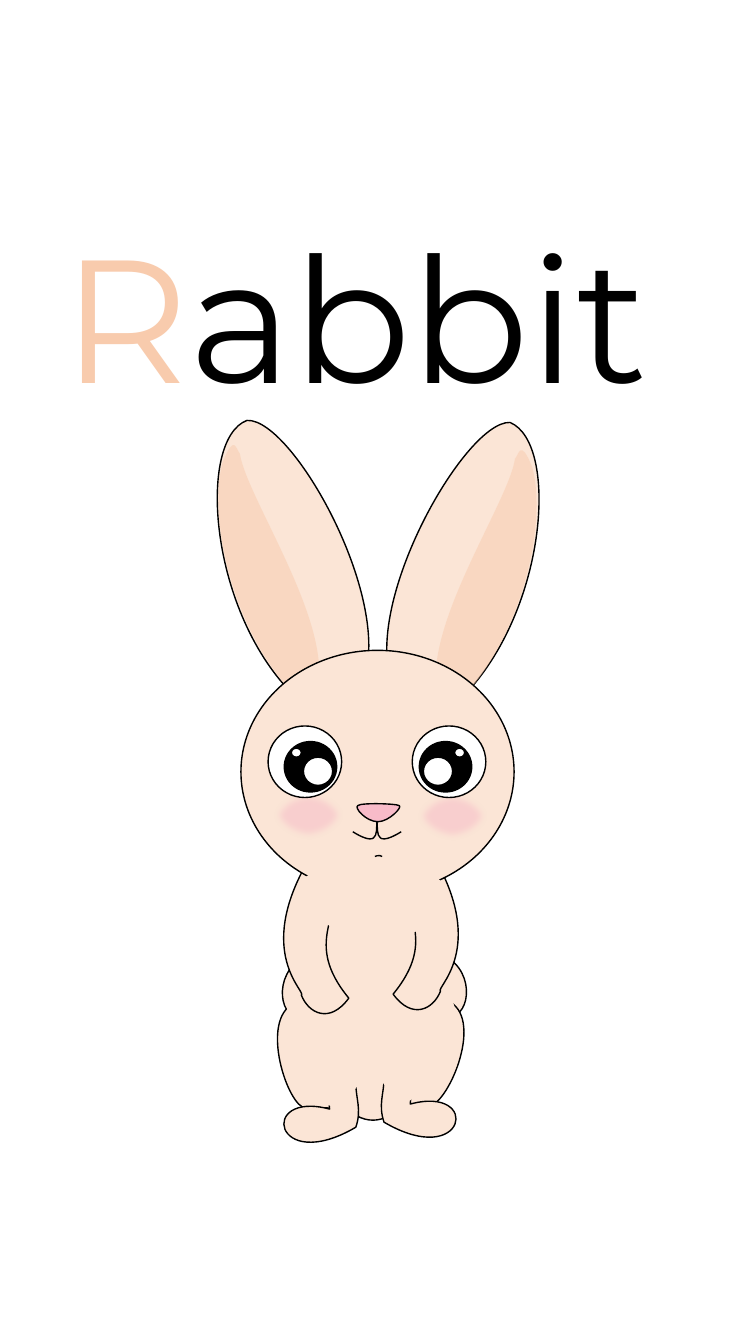
import math
import pptx
import pptx.util
import pptx.dml.color
import pptx.enum.shapes
import pptx.enum.text
import pptx.oxml.ns
import lxml.etree

SKIN, PEACH, PINK, BLACK, WHITE = "FBE5D6", "F8CBAD", "F8BBC9", "000000", "FFFFFF"
COLS, ROWS, STEPS = 350, 750, 40

RIGHT_HIP = [(241, 548), (190, 556), (190, 606), (241, 608), (266, 614, 274, 565, 241, 548)]
RIGHT_THIGH = [(240, 591), (236, 602, 219, 598, 208, 602), (181, 702), (229, 696),
               (249, 686, 282, 603, 240, 591)]
RIGHT_BELLY = [(140, 549), (229, 523), (251, 599), (275, 665, 220, 740, 162, 625), (140, 549)]
LEFT_THIGH = [(99, 593), (103, 605, 120, 603, 131, 607), (155, 700), (100, 698),
              (81, 687, 56, 600, 99, 593)]
LEFT_BELLY = [(90, 564), (170, 528), (193, 605), (217, 672, 163, 747, 106, 630),
              (71, 605, 86, 570, 90, 564)]
RIGHT_FOOT = [(181, 670), (209, 670), (207, 695), (278, 676, 263, 761, 181, 713),
              (175, 696, 181, 684, 181, 670)]
RIGHT_HEEL = [(171, 662), (194, 646), (207, 664), (220, 680, 212, 707, 185, 681), (171, 662)]
RIGHT_ARM = [(237, 462), (202, 462), (196, 504, 236, 530, 190, 586),
             (209, 612, 230, 601, 237, 583), (232, 580, 279, 545, 237, 462)]
LEFT_EAR = [(152, 292), (205, 220, 93, 14, 45, 17), (-5, 36, 7, 209, 94, 292), (152, 292)]
RIGHT_EAR = [(197, 293), (145, 222, 259, 17, 306, 19), (356, 40, 342, 212, 255, 295), (197, 293)]
LEFT_INNER_EAR = [(38, 50), (34, 46, 33, 29, 21, 58), (5, 115, 33, 243, 109, 305),
                  (106, 305), (150, 244, 45, 98, 38, 50)]
RIGHT_SMILE = [(173, 409), (177, 420, 167, 444, 198, 425)]
NOSE = [(155, 399), (158, 396, 193, 397, 196, 399), (200, 400, 186, 415, 175, 415),
        (163, 415, 151, 401, 155, 399)]


def rgb(color):
    """Return the colour of a hex string."""
    return pptx.dml.color.RGBColor.from_string(color)


def style(sp, fill, line, alpha=None):
    """Set fill, opacity and outline, and drop the shadow."""
    sp.shadow.inherit = False
    if fill:
        sp.fill.solid()
        sp.fill.fore_color.rgb = rgb(fill)
        if alpha:
            srgb = sp.fill._xPr.find(".//" + pptx.oxml.ns.qn("a:srgbClr"))
            lxml.etree.SubElement(srgb, pptx.oxml.ns.qn("a:alpha"), val=str(alpha * 1000))
    else:
        sp.fill.background()
    if line:
        sp.line.color.rgb = rgb(line)
        sp.line.width = pptx.util.Pt(1)
    else:
        sp.line.fill.background()


def mirror(outline, dx, dy):
    """Reflect an outline across the middle column and shift it."""
    return [tuple(v + dy if i % 2 else COLS - v + dx for i, v in enumerate(step))
            for step in outline]


def turn(x, y, degrees):
    """Rotate a point about the grid's corner."""
    c, s = math.cos(math.radians(degrees)), math.sin(math.radians(degrees))
    return x * c - y * s, x * s + y * c


def extent(steps):
    """Return the bounds of lines and cubic curves."""
    points = [steps[0][0]]
    for step in steps[1:]:
        if len(step) == 3:
            ends = [points[-1], *step]
            for i in range(1, STEPS):
                t = i / STEPS
                shares = [math.comb(3, k) * t ** k * (1 - t) ** (3 - k) for k in range(4)]
                points.append(tuple(sum(f * e[axis] for f, e in zip(shares, ends))
                                    for axis in (0, 1)))
        points.append(step[-1])
    xs, ys = zip(*points)
    return min(xs), min(ys), max(xs), max(ys)


class Canvas:
    """Draws grouped shapes on a grid of columns and rows inside a box."""

    def __init__(self, s, left, top, width, height):
        """Open the group and keep the size of one grid cell."""
        self.shapes = s.shapes.add_group_shape().shapes
        self.left, self.top = left, top
        self.col, self.row = width / COLS, height / ROWS

    def at(self, x, y):
        """Return the slide position of a grid point."""
        return round(self.left + x * self.col), round(self.top + y * self.row)

    def outline(self, outline, fill=SKIN, line=BLACK, alpha=None, close=True, rot=0):
        """Draw a curved freeform, turned by rot about its centre."""
        steps = [[turn(*self.at(*step[i:i + 2]), -rot) for i in range(0, len(step), 2)]
                 for step in outline]
        x0, y0, x1, y1 = extent(steps)
        points = [(round(x - x0), round(y - y0)) for step in steps for x, y in step]
        builder = self.shapes.build_freeform(*points[0], scale=1.0)
        builder.add_line_segments(points[1:], close=close)
        sp = builder.convert_to_shape()
        path = sp._element.find(".//" + pptx.oxml.ns.qn("a:path"))
        pts = list(path.iter(pptx.oxml.ns.qn("a:pt")))
        for pt, (x, y) in zip(pts, points):
            pt.set("x", str(x))
            pt.set("y", str(y))
        i = 0
        for step in steps:
            if len(step) == 3:
                first = pts[i].getparent()
                curve = lxml.etree.Element(pptx.oxml.ns.qn("a:cubicBezTo"))
                first.addprevious(curve)
                for pt in pts[i:i + 3]:
                    segment = pt.getparent()
                    curve.append(pt)
                    path.remove(segment)
            i += len(step)
        w, h = round(x1 - x0), round(y1 - y0)
        path.set("w", str(w))
        path.set("h", str(h))
        cx, cy = turn((x0 + x1) / 2, (y0 + y1) / 2, rot)
        sp.left, sp.top, sp.width, sp.height = round(cx - w / 2), round(cy - h / 2), w, h
        sp.rotation = rot
        style(sp, fill, line, alpha)

    def pair(self, outline, dx, dy, rot=0, **look):
        """Draw an outline and its mirrored partner."""
        self.outline(outline, rot=rot, **look)
        self.outline(mirror(outline, dx, dy), rot=-rot, **look)

    def preset(self, x, y, w, h, fill=SKIN, line=BLACK, alpha=None, kind="OVAL"):
        """Draw a preset shape."""
        shape_type = getattr(pptx.enum.shapes.MSO_SHAPE, kind)
        sp = self.shapes.add_shape(shape_type, *self.at(x, y),
                                   round(w * self.col), round(h * self.row))
        style(sp, fill, line, alpha)
        return sp

    def blush(self, x, y, w, h):
        """Draw a cheek with a soft edge."""
        sp = self.preset(x, y, w, h, PINK, BLACK, 50)
        effects = sp._element.spPr.find(pptx.oxml.ns.qn("a:effectLst"))
        lxml.etree.SubElement(effects, pptx.oxml.ns.qn("a:softEdge"), rad="63500")


def draw_body(canvas):
    """Draw tail, legs and feet."""
    canvas.preset(108, 460, 124, 251)
    canvas.outline(RIGHT_HIP)
    canvas.outline(RIGHT_THIGH, rot=6)
    canvas.outline(RIGHT_BELLY, line=None, rot=-16.3)
    canvas.outline(mirror(RIGHT_HIP, -7, 1))
    canvas.outline(LEFT_THIGH)
    canvas.outline(LEFT_BELLY, line=None, rot=-16.3)
    canvas.outline(RIGHT_FOOT)
    canvas.outline(mirror(RIGHT_ARM, -14, 4))
    canvas.outline(mirror(RIGHT_FOOT, -16, 5))


def draw_ears(canvas):
    """Draw the ears, heels and the right arm."""
    canvas.outline(LEFT_EAR, rot=22.9)
    canvas.outline(LEFT_INNER_EAR, PEACH, None, 50, rot=17.7)
    canvas.outline(RIGHT_EAR, rot=-22.3)
    canvas.outline(mirror(LEFT_INNER_EAR, -1, 5), PEACH, None, 50, rot=-17.2)
    canvas.pair(RIGHT_HEEL, -17, 5, rot=-36, line=None)
    canvas.outline(RIGHT_ARM)


def draw_head(canvas):
    """Draw chest, head and face."""
    canvas.preset(138, 441, 71, 114, line=None).rotation = 270
    canvas.preset(39, 245, 271, 241)
    for x, y in ((213, 385), (70, 384)):
        canvas.blush(x, y, 72, 49)
    for right, left, y, w, h, fill in (
            (209, 66, 320, 73, 71, WHITE), (216, 82, 335.5, 52, 50, BLACK),
            (220, 101, 351, 29, 28, WHITE), (251, 89, 342, 10, 9, WHITE)):
        for x in (right, left):
            canvas.preset(x, y, w, h, fill)
    canvas.preset(96, 456, 144, 49, line=None)
    canvas.pair(RIGHT_SMILE, -2, 0, fill=None, close=False)
    canvas.outline(NOSE, fill=PINK)
    chin = canvas.preset(144, 457, 43, 18, None, kind="ARC")
    chin.adjustments[0], chin.adjustments[1] = 205.118, 0
    chin.rotation = 309.6


def draw_title(s, left, top, width, height):
    """Place the word with its coloured initial."""
    sp = s.shapes.title
    sp.left, sp.top, sp.width, sp.height = left, top, width, height
    tf = sp.text_frame
    tf.word_wrap = True
    tf.auto_size = pptx.enum.text.MSO_AUTO_SIZE.SHAPE_TO_FIT_TEXT
    tf.vertical_anchor = pptx.enum.text.MSO_ANCHOR.TOP
    p = tf.paragraphs[0]
    p.alignment = pptx.enum.text.PP_ALIGN.LEFT
    p.line_spacing = 1.0
    for text, color in (("R", PEACH), ("abbit", BLACK)):
        r = p.add_run()
        r.text = text
        r.font.name = "Montserrat"
        r.font.size = pptx.util.Pt(125)
        r.font.color.rgb = rgb(color)


def main():
    """Build the slide and save it."""
    inch = pptx.util.Inches
    prs = pptx.Presentation()
    prs.slide_width, prs.slide_height = inch(7.5), inch(13.33)
    s = prs.slides.add_slide(prs.slide_layouts[5])
    draw_title(s, inch(0.52), inch(2.02), inch(7.29), inch(2.2))
    canvas = Canvas(s, inch(2), inch(4), inch(3.5), inch(7.5))
    draw_body(canvas)
    draw_ears(canvas)
    draw_head(canvas)
    prs.save("out.pptx")


if __name__ == "__main__":
    main()
